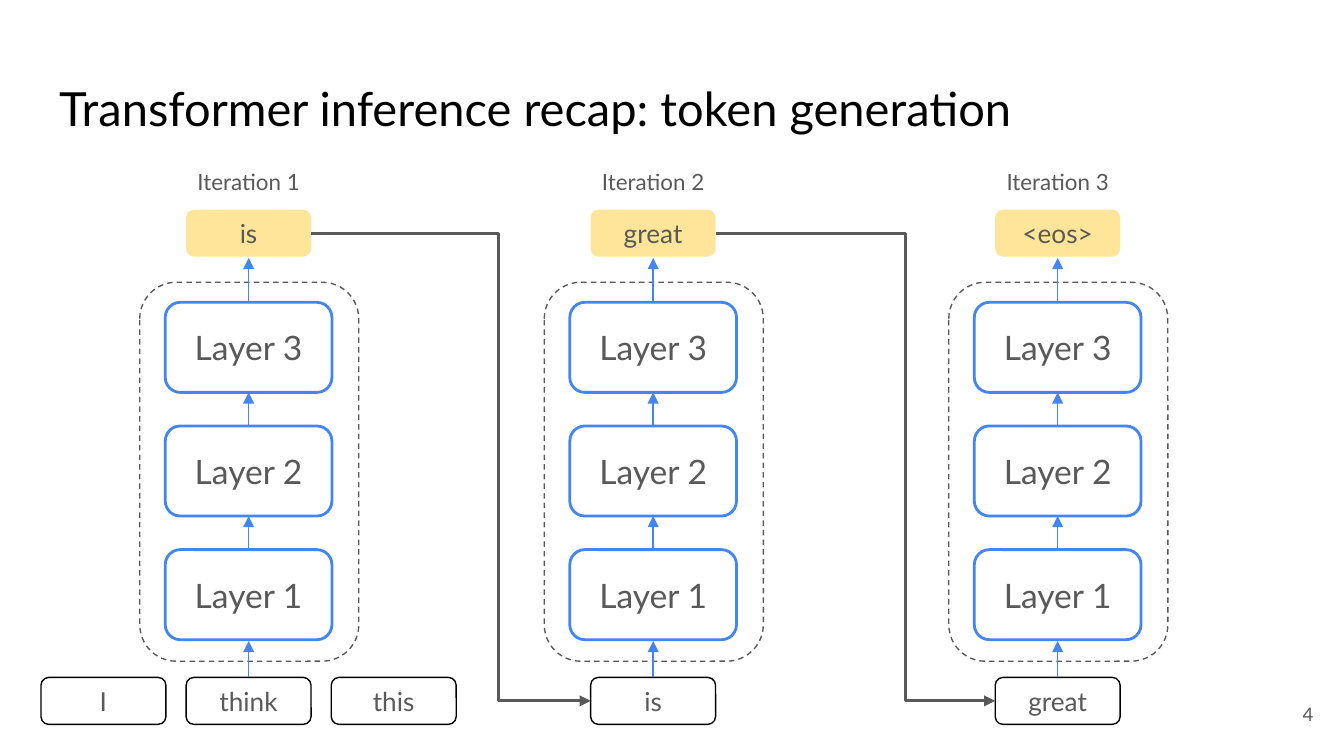
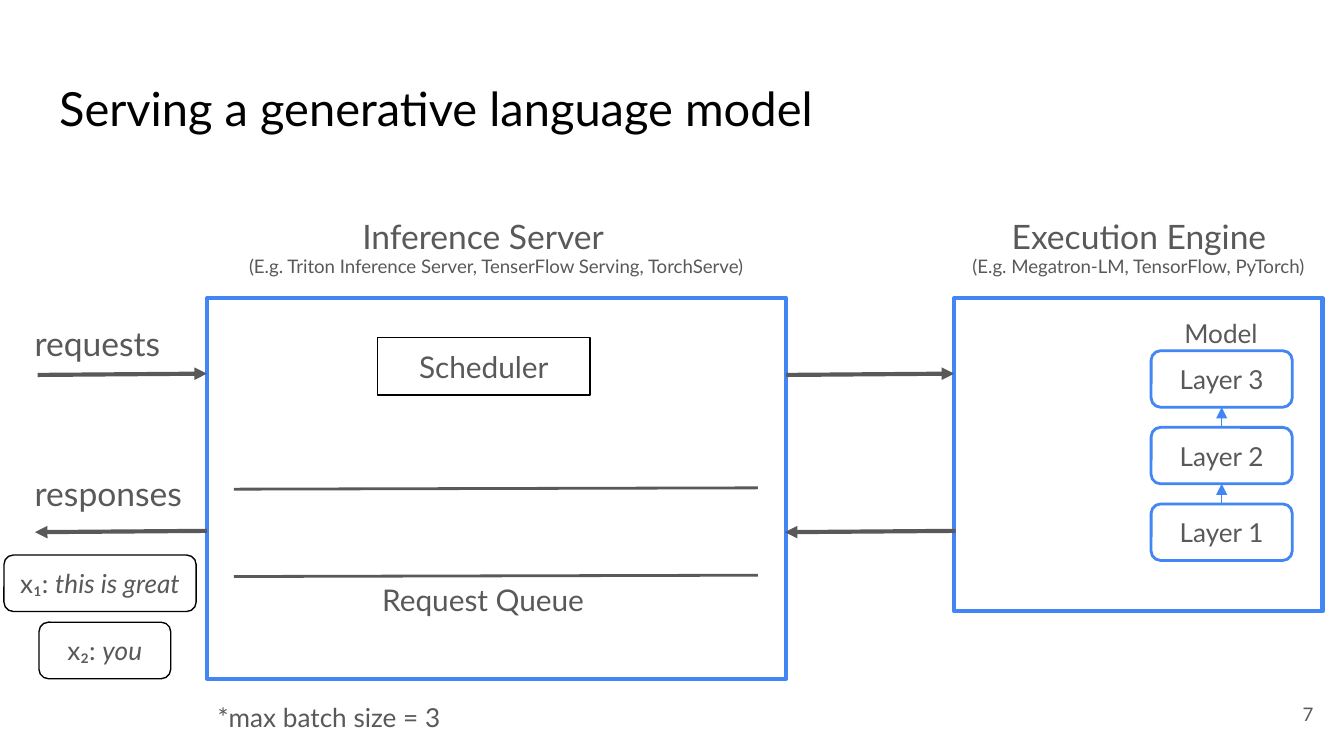
from lxml.etree import SubElement
from pptx import Presentation
from pptx.dml.color import RGBColor
from pptx.enum.dml import MSO_LINE
from pptx.enum.shapes import MSO_CONNECTOR, MSO_SHAPE
from pptx.enum.text import MSO_ANCHOR, MSO_AUTO_SIZE, PP_ALIGN
from pptx.oxml.ns import qn
from pptx.util import Inches, Pt

FONT = "Lato"
BLACK = RGBColor(0x00, 0x00, 0x00)
GRAY = RGBColor(0x59, 0x59, 0x59)
BLUE = RGBColor(0x42, 0x85, 0xF4)
YELLOW = RGBColor(0xFF, 0xE5, 0x99)

LAYERS = ["Layer 3", "Layer 2", "Layer 1"]  # top to bottom

# Slide 1: heading, generated token, input tokens as (text, column offset)
ITERATIONS = [
    ("Iteration 1", "is", [("I", -1), ("think", 0), ("this", 1)]),
    ("Iteration 2", "great", [("is", 0)]),
    ("Iteration 3", "<eos>", [("great", 0)]),
]
FIRST_CENTER, ITERATION_PITCH = 1.85, 3.01
TOKEN_W, TOKEN_H, TOKEN_PITCH = 0.93, 0.35, 1.08
OUTPUT_TOP, INPUT_TOP = 1.56, 5.04
FEEDBACK_TURNS = [3.71, 6.74]

# Slide 2
PANELS = [(7.1, 2.22, 2.74, 2.33), (1.54, 2.22, 4.31, 2.83)]
LABELS = [  # text, left, top, width, height, size, alignment
    ("Inference Server", 2.51, 1.51, 2.17, 0.43, 18, PP_ALIGN.CENTER),
    ("(E.g. Triton Inference Server, TenserFlow Serving, TorchServe)",
     1.64, 1.81, 4.1, 0.33, 10, PP_ALIGN.CENTER),
    ("Execution Engine", 7.39, 1.51, 2.17, 0.43, 18, PP_ALIGN.CENTER),
    ("(E.g. Megatron-LM, TensorFlow, PyTorch)",
     6.9, 1.81, 3.14, 0.33, 10, PP_ALIGN.CENTER),
    ("requests", 0.16, 2.3, 1.16, 0.43, 18, PP_ALIGN.LEFT),
    ("responses", 0.16, 3.42, 1.35, 0.43, 18, PP_ALIGN.LEFT),
    ("Request Queue", 2.51, 4.23, 2.17, 0.43, 16, PP_ALIGN.CENTER),
    ("Model", 8.62, 2.26, 0.93, 0.43, 14, PP_ALIGN.CENTER),
    ("*max batch size = 3", 1.52, 5.12, 4.35, 0.44, 14, PP_ALIGN.LEFT),
]
MESSAGE_ARROWS = [
    (0.28, 2.79, 1.54, 2.78),
    (1.54, 3.95, 0.26, 3.96),
    (5.85, 2.79, 7.1, 2.78),
    (7.11, 3.95, 5.84, 3.96),
]
QUEUE_LINES = [(1.74, 3.64, 5.64, 3.63), (1.74, 4.29, 5.64, 4.28)]
RESPONSES = [  # name, italic text, left, top, width
    ("x₁: ", "this is great", 0.03, 4.13, 1.43),
    ("x₂: ", "you", 0.29, 4.63, 0.98),
]


def style(p, size, color=GRAY, align=PP_ALIGN.CENTER):
    p.alignment = align
    p.font.name, p.font.size, p.font.color.rgb = FONT, Pt(size), color


def set_margins(tf, margin):
    tf.margin_left = tf.margin_right = Inches(margin)
    tf.margin_top = tf.margin_bottom = Inches(margin)


def add_label(slide, text, x, y, w, h, size, align, anchor=MSO_ANCHOR.TOP):
    tf = slide.shapes.add_textbox(*map(Inches, (x, y, w, h))).text_frame
    tf.word_wrap = True
    tf.vertical_anchor = anchor
    set_margins(tf, 0.1)
    tf.text = text
    style(tf.paragraphs[0], size, align=align)


def add_box(slide, x, y, w, h, text="", size=14, line=BLACK, weight=0.75,
            fill=None, kind=MSO_SHAPE.ROUNDED_RECTANGLE):
    sp = slide.shapes.add_shape(kind, *map(Inches, (x, y, w, h)))
    sp.shadow.inherit = False
    if fill is None:
        sp.fill.background()
    else:
        sp.fill.solid()
        sp.fill.fore_color.rgb = fill
    if line is None:
        sp.line.fill.background()
    else:
        sp.line.color.rgb, sp.line.width = line, Pt(weight)
    if text:
        tf = sp.text_frame
        set_margins(tf, 0)
        tf.vertical_anchor = MSO_ANCHOR.MIDDLE
        tf.text = text
        style(tf.paragraphs[0], size)
    return sp


def add_line(slide, x1, y1, x2, y2, color, weight, arrow=True, turn=None):
    """Draw a straight line, or an elbow whose vertical part is at x = turn."""
    kind = MSO_CONNECTOR.STRAIGHT if turn is None else MSO_CONNECTOR.ELBOW
    line = slide.shapes.add_connector(kind, *map(Inches, (x1, y1, x2, y2)))
    line.line.color.rgb, line.line.width = color, Pt(weight)
    sp_pr = line._element.spPr
    if arrow:
        SubElement(sp_pr.find(qn("a:ln")), qn("a:tailEnd"), type="triangle")
    SubElement(sp_pr, qn("a:effectLst"))
    if turn is not None:
        ratio = round((turn - x1) / (x2 - x1) * 100000)
        guides = sp_pr.find(qn("a:prstGeom")).get_or_add_avLst()
        SubElement(guides, qn("a:gd"), name="adj1", fmla=f"val {ratio}")


def add_layers(slide, center, top, pitch, w, h, size):
    for i, name in enumerate(LAYERS):
        y = top + i * pitch
        add_box(slide, center - w / 2, y, w, h, name, size, BLUE, 1.5)
        if i:
            add_line(slide, center, y, center, y - pitch + h, BLUE, 0.75)


def add_slide(prs, title, number):
    slide = prs.slides.add_slide(prs.slide_layouts[5])
    sp = slide.shapes.title
    sp.left, sp.top, sp.width, sp.height = map(Inches, (0.34, 0.49, 9.32, 0.63))
    tf = sp.text_frame
    tf.text = title
    tf.auto_size = MSO_AUTO_SIZE.NONE
    tf.vertical_anchor = MSO_ANCHOR.TOP
    set_margins(tf, 0.1)
    style(tf.paragraphs[0], 25.2, BLACK, PP_ALIGN.LEFT)
    add_label(slide, number, 9.27, 5.1, 0.6, 0.43, 10, PP_ALIGN.RIGHT,
              MSO_ANCHOR.MIDDLE)
    return slide


def build_token_generation(prs):
    slide = add_slide(prs, "Transformer inference recap: token generation", "4")
    centers = [FIRST_CENTER + i * ITERATION_PITCH for i in range(len(ITERATIONS))]
    for center, (heading, output, inputs) in zip(centers, ITERATIONS):
        left = center - TOKEN_W / 2
        add_label(slide, heading, center - 0.51, 1.15, 1.02, 0.41, 12,
                  PP_ALIGN.CENTER)
        add_box(slide, left, OUTPUT_TOP, TOKEN_W, TOKEN_H, output, line=None,
                fill=YELLOW)
        stack = add_box(slide, center - 0.81, 2.1, 1.63, 2.82, line=GRAY)
        stack.line.dash_style = MSO_LINE.DASH
        add_layers(slide, center, 2.25, 0.92, 1.24, 0.67, 18)
        for token, column in inputs:
            add_box(slide, left + column * TOKEN_PITCH, INPUT_TOP, TOKEN_W,
                    TOKEN_H, token)
        add_line(slide, center, INPUT_TOP, center, 4.77, BLUE, 0.75)
        add_line(slide, center, 2.25, center, 1.92, BLUE, 0.75)
    for start, end, turn in zip(centers, centers[1:], FEEDBACK_TURNS):
        add_line(slide, start + TOKEN_W / 2, OUTPUT_TOP + TOKEN_H / 2,
                 end - TOKEN_W / 2, INPUT_TOP + TOKEN_H / 2, GRAY, 1.5,
                 turn=turn)


def build_serving(prs):
    slide = add_slide(prs, "Serving a generative language model", "7")
    for panel in PANELS:
        add_box(slide, *panel, line=BLUE, weight=2.25, kind=MSO_SHAPE.RECTANGLE)
    for label in LABELS:
        add_label(slide, *label)
    add_box(slide, 2.81, 2.51, 1.58, 0.43, "Scheduler", 16,
            kind=MSO_SHAPE.RECTANGLE)
    for ends in MESSAGE_ARROWS:
        add_line(slide, *ends, GRAY, 2.25)
    for ends in QUEUE_LINES:
        add_line(slide, *ends, GRAY, 1.5, arrow=False)
    add_layers(slide, 9.09, 2.61, 0.57, 1.05, 0.42, 14)
    for name, words, x, y, w in RESPONSES:
        sp = add_box(slide, x, y, w, 0.42, name)
        r = sp.text_frame.paragraphs[0].add_run()
        r.text = words
        r.font.italic = True


def main():
    prs = Presentation()
    prs.slide_width = Inches(10)
    prs.slide_height = prs.slide_width * 9 // 16
    build_token_generation(prs)
    build_serving(prs)
    prs.save("out.pptx")


if __name__ == "__main__":
    main()
